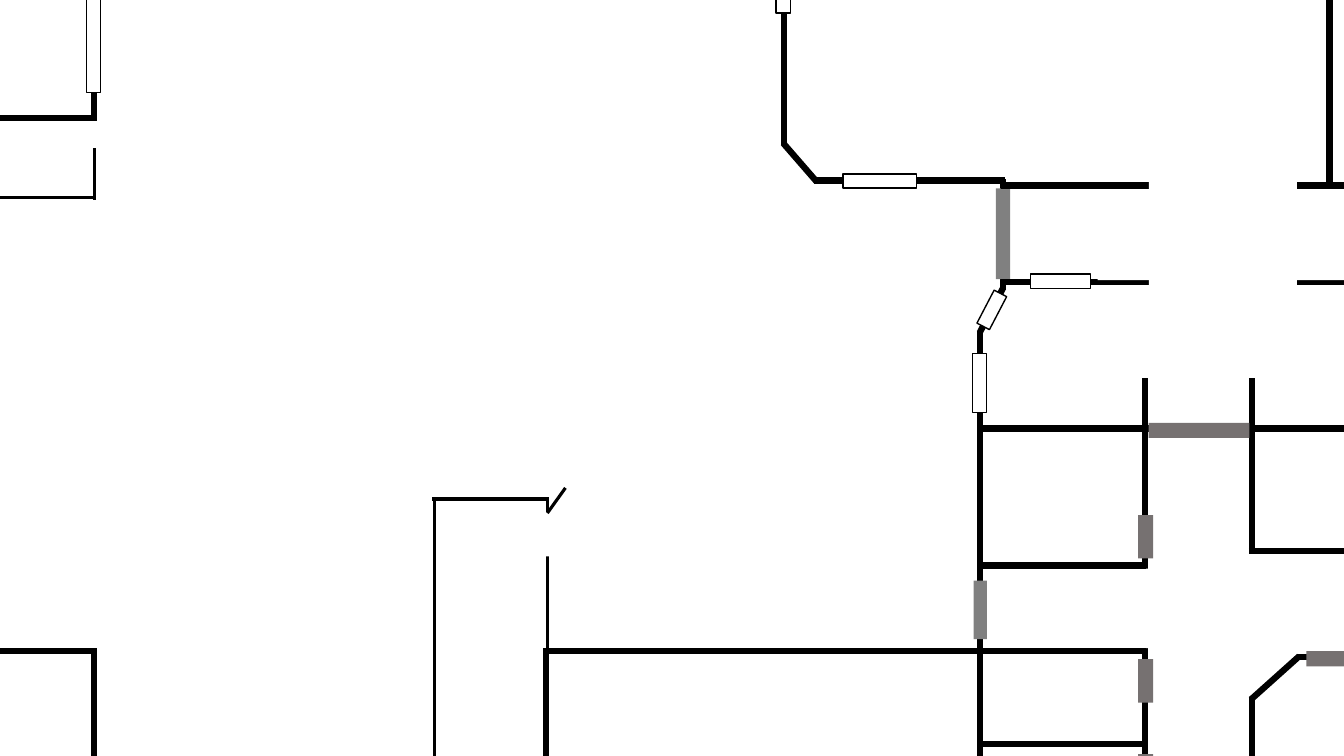
from dataclasses import dataclass
from typing import Any

from lxml.etree import SubElement
from pptx import Presentation
from pptx.dml.color import RGBColor
from pptx.enum.shapes import MSO_CONNECTOR as Connector, MSO_SHAPE as Shape
from pptx.oxml.ns import qn
from pptx.util import Pt

BLACK = RGBColor(0x00, 0x00, 0x00)
WHITE = RGBColor(0xFF, 0xFF, 0xFF)
GREY = RGBColor(0x80, 0x80, 0x80)
WARM_GREY = RGBColor(0x76, 0x71, 0x71)

WEST_X = 67
COURT_X = 390.2
BAY_X = 560.2
SPINE_X = 699.8
PORCH_X = 715
ROOM_X = 817.9
EAST_X = 894.2
SOUTH_Y = 465.1
TOP = -49.7
BOTTOM = 599
SPINE_BOTTOM = 596.2
FAR_EAST = 1182.2
DEPTH = 10.1
DOOR_DEPTH = 10.8
DOOR_LENGTH = 31
BAY_LENGTH = 41.8


@dataclass
class FloorPlan:
    page: Any
    wall_width: float = 4.5
    partition_width: float = 2.25
    window_width: float = 1

    def wall(self, x1, y1, x2, y2, width=None):
        line = self.page.shapes.add_connector(
            Connector.STRAIGHT, Pt(x1), Pt(y1), Pt(x2), Pt(y2))
        line.line.color.rgb = BLACK
        line.line.width = Pt(width or self.wall_width)
        SubElement(line._element.spPr, qn("a:effectLst"))

    def partition(self, x1, y1, x2, y2):
        self.wall(x1, y1, x2, y2, self.partition_width)

    def block(self, left, top, width, height, color=WHITE, turn=0):
        box = self.page.shapes.add_shape(
            Shape.RECTANGLE, Pt(left), Pt(top), Pt(width), Pt(height))
        box.shadow.inherit = False
        box.rotation = turn
        box.fill.solid()
        box.fill.fore_color.rgb = color
        box.line.fill.background()
        return box

    def window(self, left, top, length, turn=0):
        box = self.block(left, top, DEPTH, length, turn=turn)
        box.line.color.rgb = BLACK
        box.line.width = Pt(self.window_width)

    def door(self, left, top, length=DOOR_LENGTH, turn=0):
        self.block(left, top, DOOR_DEPTH, length, WARM_GREY, turn)


def draw_outer_walls(plan):
    plan.wall(-67, SOUTH_Y, 69.1, SOUTH_Y)
    plan.wall(WEST_X, 463, WEST_X, BOTTOM)
    plan.wall(COURT_X, BOTTOM, COURT_X, 463)
    plan.wall(-67, 84.2, 69.1, 84.2)
    plan.wall(WEST_X, TOP, WEST_X, 86.4)
    plan.window(61.9, -5.8, 72)
    plan.wall(BAY_X, TOP, BAY_X, 103.7)
    plan.wall(581.8, 128.9, 717.8, 128.9)
    plan.wall(583.2, 129.6, 559.4, 102.2)
    plan.window(554.4, -32.4, BAY_LENGTH)
    plan.wall(716.4, 207.4, 716.4, 128.2)
    plan.wall(COURT_X, SOUTH_Y, 702, SOUTH_Y)
    plan.wall(SPINE_X, 237.6, 716.4, 205.9)
    plan.wall(SPINE_X, 236.2, SPINE_X, SPINE_BOTTOM)
    plan.block(711.4, 134.6, DEPTH, 64.8, GREY)
    plan.block(695.5, 414.7, 9.4, BAY_LENGTH, GREY)


def draw_partitions(plan):
    plan.partition(310.3, BOTTOM, 310.3, 355)
    plan.partition(391, 463, 391, 355)
    plan.partition(308.9, 356.4, 392.4, 356.4)
    plan.block(379.4, 365.8, 21.6, 31.7)
    plan.partition(391, 366.5, 403.9, 348.5)
    plan.partition(-59.8, 141.1, 67.7, 141.1)
    plan.partition(67.7, 142.6, 67.7, 105.8)


def draw_corridors(plan):
    plan.window(703.4, 208.1, 26.6, turn=27.5)
    plan.window(694.8, 252.7, BAY_LENGTH)
    plan.wall(PORCH_X, 201.6, FAR_EAST, 201.6)
    plan.window(752.4, 179.3, 43.2, turn=90)
    plan.wall(PORCH_X, 132.5, FAR_EAST, 132.5)
    plan.wall(ROOM_X, 270, ROOM_X, SPINE_BOTTOM)
    plan.window(623.5, 103, 52.6, turn=90)
    plan.wall(701.3, 306, 1180.1, 306)
    plan.wall(949.7, -45.4, 949.7, 133.2)
    plan.wall(EAST_X, 270, EAST_X, SPINE_BOTTOM)
    plan.block(816.5, 119.5, 113.8, 105.8, turn=90)
    plan.door(851, 271.4, length=72, turn=90)
    plan.block(784.1, 135.4, 221, 64.8)


def draw_rooms(plan):
    plan.block(886.3, 394.6, 133.9, 103)
    plan.wall(892.1, 393.8, 1033.9, 393.8)
    plan.wall(928.1, 468.7, 893.5, 499.7)
    plan.wall(926.6, 469.4, 1034.6, 469.4)
    plan.block(708.5, 406.1, 133.9, 56.9)
    plan.door(943.2, 455, turn=270)
    for left, y in ((SPINE_X, 403.9), (SPINE_X, SOUTH_Y), (698.4, 531.4)):
        plan.wall(left, y, left + 118.8, y)
    for top in (367.9, 470.9, 538.6):
        plan.door(812.9, top)


def main():
    deck = Presentation()
    deck.slide_width, deck.slide_height = Pt(960), Pt(540)
    plan = FloorPlan(deck.slides.add_slide(deck.slide_layouts[6]))
    draw_outer_walls(plan)
    draw_partitions(plan)
    draw_corridors(plan)
    draw_rooms(plan)
    deck.save("out.pptx")


if __name__ == "__main__":
    main()
